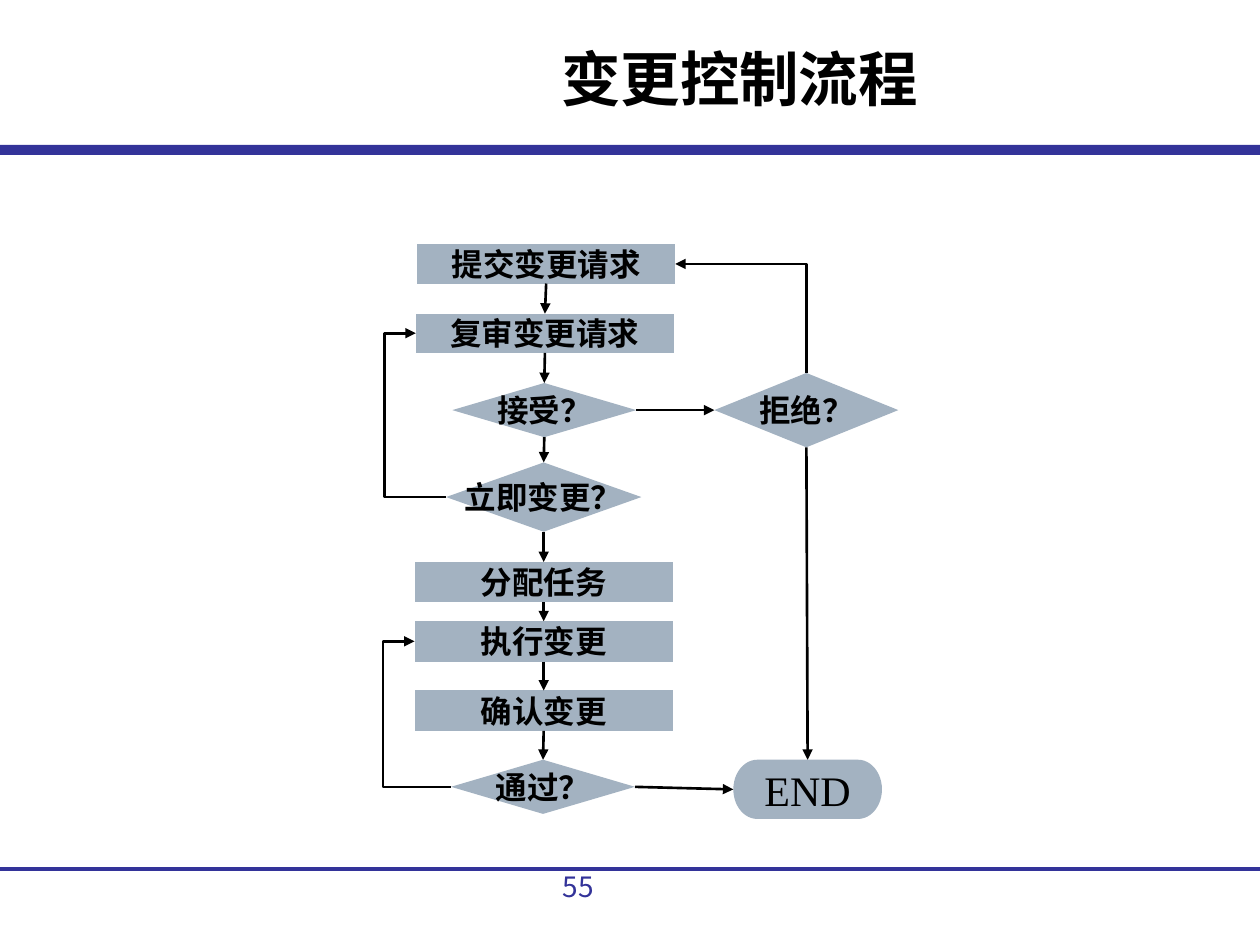
import pptx
import pptx.dml.color
import pptx.enum.shapes
import pptx.enum.text
import pptx.oxml
import pptx.oxml.ns
import pptx.util
from pptx.util import Inches

SHAPE = pptx.enum.shapes.MSO_SHAPE
CONNECTOR = pptx.enum.shapes.MSO_CONNECTOR
ANCHOR = pptx.enum.text.MSO_ANCHOR
CENTER = pptx.enum.text.PP_ALIGN.CENTER
TOP, LEFT, BOTTOM, RIGHT = range(4)
BLUE, STEEL, BLACK = "333399", "A3B2C1", "000000"

# name: (shape, text, (left, top, width, height))
STEPS = {
    "submit": (SHAPE.FLOWCHART_PROCESS, "提交变更请求", (3.31, 1.94, 2.05, 0.31)),
    "review": (SHAPE.FLOWCHART_PROCESS, "复审变更请求", (3.3, 2.49, 2.05, 0.31)),
    "accept": (SHAPE.FLOWCHART_DECISION, "接受？", (3.59, 3.04, 1.46, 0.43)),
    "now": (SHAPE.FLOWCHART_DECISION, "立即变更？", (3.54, 3.67, 1.55, 0.55)),
    "assign": (SHAPE.FLOWCHART_PROCESS, "分配任务", (3.29, 4.46, 2.05, 0.32)),
    "execute": (SHAPE.FLOWCHART_PROCESS, "执行变更", (3.29, 4.93, 2.05, 0.32)),
    "confirm": (SHAPE.FLOWCHART_PROCESS, "确认变更", (3.29, 5.48, 2.05, 0.32)),
    "passed": (SHAPE.FLOWCHART_DECISION, "通过？", (3.58, 6.03, 1.46, 0.43)),
    "reject": (SHAPE.FLOWCHART_DECISION, "拒绝？", (5.67, 2.96, 1.46, 0.59)),
    "end": (SHAPE.FLOWCHART_TERMINATOR, "END", (5.82, 6.03, 1.18, 0.47)),
}
MAIN_PATH = ["submit", "review", "accept", "now", "assign", "execute", "confirm", "passed"]


def color(value):
    return pptx.dml.color.RGBColor.from_string(value)


def set_font(font, name, size, value, bold=False):
    font.name, font.size, font.bold = name, pptx.util.Pt(size), bold
    font.color.rgb = color(value)


def fill_plain(shape, value):
    shape.shadow.inherit = False
    shape.fill.solid()
    shape.fill.fore_color.rgb = color(value)
    shape.line.fill.background()


def style_line(connector, value, width, arrow=None):
    """Style a connector; arrow is headEnd, tailEnd or None."""
    connector.line.color.rgb = color(value)
    connector.line.width = pptx.util.Pt(width)
    if arrow:
        outline = connector.line._get_or_add_ln()
        end = pptx.oxml.parse_xml(
            f'<a:{arrow} {pptx.oxml.ns.nsdecls("a")} type="triangle" w="med" len="med"/>')
        outline.append(end)
    properties = connector._element.spPr
    properties.append(pptx.oxml.parse_xml(f'<a:effectLst {pptx.oxml.ns.nsdecls("a")}/>'))


def add_step(page, kind, text, box):
    shape = page.shapes.add_shape(kind, *map(Inches, box))
    fill_plain(shape, STEEL)
    frame = shape.text_frame
    frame.word_wrap = False
    frame.vertical_anchor = ANCHOR.MIDDLE
    para = frame.paragraphs[0]
    para.text, para.alignment = text, CENTER
    is_end = kind == SHAPE.FLOWCHART_TERMINATOR
    set_font(para.font, "Times New Roman", 24 if is_end else 18, BLACK, not is_end)
    return shape


def join(page, kind, begin, begin_side, end, end_side, arrow="tailEnd"):
    connector = page.shapes.add_connector(kind, 0, 0, 0, 0)
    connector.begin_connect(begin, begin_side)
    connector.end_connect(end, end_side)
    style_line(connector, BLACK, 1.5, arrow)
    return connector


def set_bend(connector, preset, **adjustments):
    geometry = connector._element.spPr.find(pptx.oxml.ns.qn("a:prstGeom"))
    geometry.set("prst", preset)
    guides = "".join(f'<a:gd name="{name}" fmla="val {value}"/>'
                     for name, value in adjustments.items())
    for child in list(geometry):
        geometry.remove(child)
    geometry.append(pptx.oxml.parse_xml(
        f'<a:avLst {pptx.oxml.ns.nsdecls("a")}>{guides}</a:avLst>'))


def add_loop_back(page, process, decision):
    """Lead from a decision around the left side back to a process."""
    connector = join(page, CONNECTOR.ELBOW, process, LEFT, decision, LEFT, "headEnd")
    set_bend(connector, "bentConnector3",
             adj1=round(-100000 * Inches(0.25) / connector.width))


def add_flow(page):
    steps = {name: add_step(page, *step) for name, step in STEPS.items()}
    links = [(begin, BOTTOM, end, TOP) for begin, end in zip(MAIN_PATH, MAIN_PATH[1:])]
    links += [("accept", RIGHT, "reject", LEFT), ("reject", BOTTOM, "end", TOP),
              ("passed", RIGHT, "end", LEFT)]
    for begin, begin_side, end, end_side in links:
        join(page, CONNECTOR.STRAIGHT, steps[begin], begin_side, steps[end], end_side)
    add_loop_back(page, steps["review"], steps["now"])
    add_loop_back(page, steps["execute"], steps["passed"])
    resubmit = join(page, CONNECTOR.ELBOW, steps["submit"], RIGHT,
                    steps["reject"], TOP, "headEnd")
    set_bend(resubmit, "bentConnector2")


def add_header(page, box):
    bar = page.shapes.add_shape(SHAPE.RECTANGLE, 0, Inches(1.15), Inches(10), Inches(0.08))
    fill_plain(bar, BLUE)
    title = page.shapes.title
    title.left, title.top, title.width, title.height = map(Inches, box)
    frame = title.text_frame
    frame.auto_size = pptx.enum.text.MSO_AUTO_SIZE.NONE
    frame.vertical_anchor = ANCHOR.TOP
    para = frame.paragraphs[0]
    para.text, para.alignment = "变更控制流程", CENTER
    set_font(para.font, "DejaVu Sans", 34, BLACK, True)


def add_footer(page, box):
    rule = page.shapes.add_connector(
        CONNECTOR.STRAIGHT, 0, Inches(6.9), Inches(10), Inches(6.9))
    style_line(rule, BLUE, 2.25)
    number = page.shapes.add_textbox(*map(Inches, box))
    number.text_frame.word_wrap = True
    para = number.text_frame.paragraphs[0]
    para.text = "55"
    set_font(para.font, "Noto Sans CJK SC", 16, BLUE)


def main():
    deck = pptx.Presentation()
    deck.slide_width, deck.slide_height = Inches(10), Inches(7.5)
    page = deck.slides.add_slide(deck.slide_layouts[5])
    add_header(page, (2.01, 0.28, 7.72, 0.71))
    add_flow(page)
    add_footer(page, (4.37, 6.85, 1.1, 0.52))
    deck.save("out.pptx")


if __name__ == "__main__":
    main()
